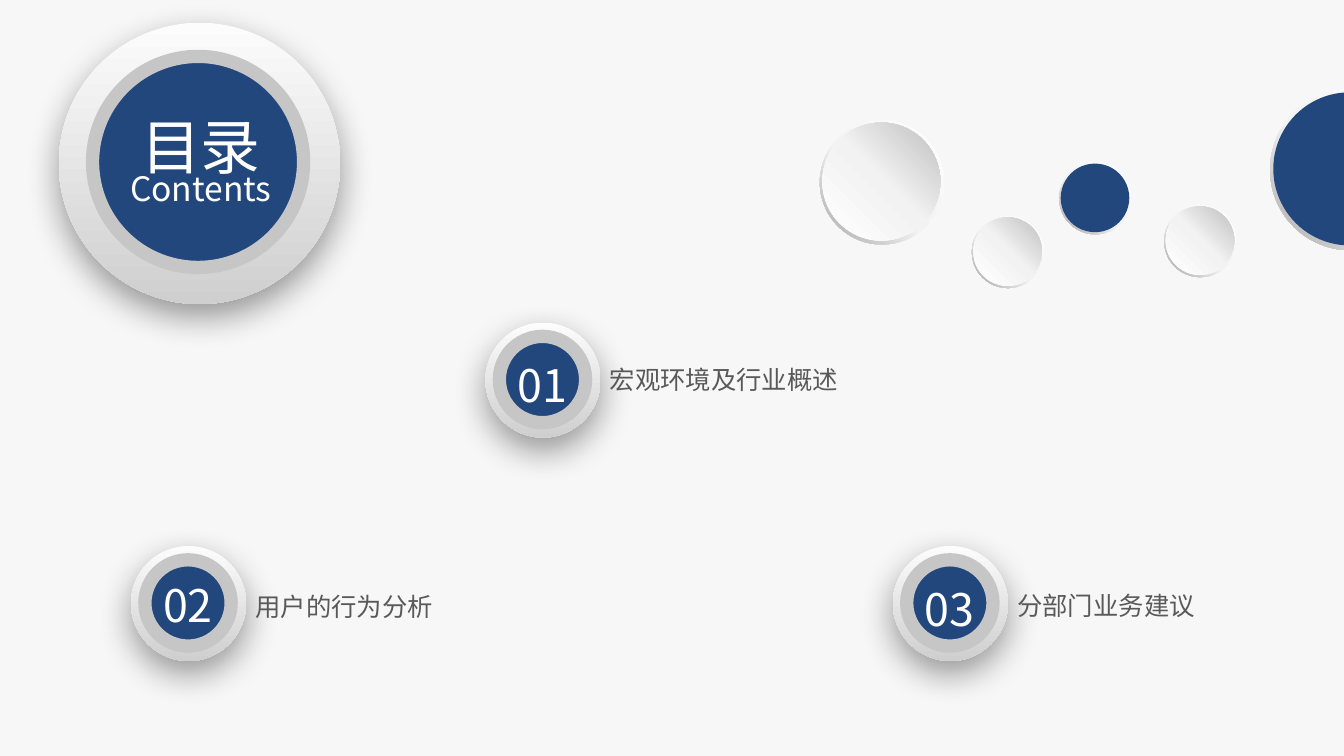
import pptx
import pptx.util
import pptx.dml.color
import pptx.enum.shapes
import pptx.enum.text
import pptx.oxml.ns
from lxml import etree

COLS, ROWS = 160, 90
CELL = pptx.util.Inches(1) // 12
FONT = "Noto Sans CJK SC"
NAVY, WHITE, GREY, RIM, PAPER = "22477D", "FFFFFF", "595959", "C6C6C6", "F7F7F7"
DOME = [(0, "FCFCFC"), (100, "CFCFCF")]
EDGE = [(0, "FFFFFF"), (55, "F2F2F2"), (100, "A6A6A6")]
PEARL = [(0, "FFFFFF"), (51, "F2F2F2"), (100, "BFBFBF")]
OVAL = pptx.enum.shapes.MSO_SHAPE.OVAL
DONUT = pptx.enum.shapes.MSO_SHAPE.DONUT
ALIGN = pptx.enum.text.PP_ALIGN
ANCHOR = pptx.enum.text.MSO_ANCHOR
qn = pptx.oxml.ns.qn


def paint(color, hexa):
    """Set a colour from a hex string."""
    color.rgb = pptx.dml.color.RGBColor.from_string(hexa)


def part(box, x, y, w, h):
    """Return the part of a square box given by shares of its side."""
    left, top, side = box
    return left + x * side, top + y * side, w * side, h * side


def cells(*area):
    """Turn grid cells into lengths."""
    return [round(v * CELL) for v in area]


def grade(shape, stops, angle):
    """Fill a shape with a gradient, angle clockwise."""
    shape.fill.gradient()
    shape.fill.gradient_angle = (360 - angle) % 360
    rows = shape.fill._xPr.find(qn("a:gradFill")).find(qn("a:gsLst"))
    for old in list(rows):
        rows.remove(old)
    for pos, hexa in stops:
        stop = etree.SubElement(rows, qn("a:gs"), pos=str(pos * 1000))
        etree.SubElement(stop, qn("a:srgbClr"), val=hexa)


def cast(shape):
    """Give a shape a soft shadow below it."""
    effects = shape._element.spPr.find(qn("a:effectLst"))
    shade = etree.SubElement(
        effects, qn("a:outerShdw"), blurRad=str(pptx.util.Pt(25)),
        dist=str(pptx.util.Pt(9)), dir="5400000", algn="t", rotWithShape="0")
    color = etree.SubElement(shade, qn("a:srgbClr"), val="000000")
    etree.SubElement(color, qn("a:alpha"), val="40000")


def disc(shapes, area, fill, angle=0, kind=OVAL):
    """Add a round shape with a plain or graded fill."""
    shape = shapes.add_shape(kind, *cells(*area))
    shape.shadow.inherit = False
    shape.line.fill.background()
    if isinstance(fill, str):
        shape.fill.solid()
        paint(shape.fill.fore_color, fill)
    else:
        grade(shape, fill, angle)
    return shape


def write(shape, text, size, hexa, align=ALIGN.CENTER, anchor=ANCHOR.MIDDLE,
          wrap=True, inset=None):
    """Put one styled line of text in a shape; inset is the left margin."""
    frame = shape.text_frame
    frame.text = text
    frame.auto_size = pptx.enum.text.MSO_AUTO_SIZE.NONE
    frame.word_wrap = wrap
    frame.vertical_anchor = anchor
    if inset is not None:
        frame.margin_left = round(inset * CELL)
        frame.margin_right = frame.margin_top = frame.margin_bottom = 0
    line = frame.paragraphs[0]
    line.alignment = align
    font = line.runs[0].font
    font.size = pptx.util.Pt(size)
    font.name = FONT
    paint(font.color, hexa)
    etree.SubElement(font._element, qn("a:ea"), typeface=FONT)


def badge(shapes, box):
    """Add a raised button with a navy face and return its group."""
    group = shapes.add_group_shape()
    cast(disc(group.shapes, part(box, 0, 0, 1, 1), DOME, 90))
    face = disc(group.shapes, part(box, 0.12, 0.12, 0.75, 0.75), NAVY)
    face.line.width = pptx.util.Pt(9.5)
    paint(face.line.color, RIM)
    return group


def head(slide, box):
    """Add the large badge that holds the slide title."""
    group = badge(slide.shapes, box)
    sub = group.shapes.add_textbox(*cells(*part(box, 0.15, 0.46, 0.71, 0.2)))
    write(sub, "Contents", 24, WHITE, anchor=ANCHOR.BOTTOM, inset=0)
    title = slide.shapes.title
    title.left, title.top, title.width, title.height = cells(
        *part(box, 0.15, 0.29, 0.71, 0.36))
    write(title, "目录", 42.7, WHITE, anchor=ANCHOR.TOP)
    slide.shapes._spTree.append(title._element)


def entry(slide, box, num, label, rise, drop):
    """Add a numbered badge and its label, at shares rise and drop."""
    shapes = badge(slide.shapes, box).shapes
    mark = shapes.add_textbox(*cells(*part(box, 0.16, rise, 0.67, 0.68)))
    write(mark, num, 32, WHITE, wrap=False)
    note = shapes.add_textbox(*cells(*part(box, 0.62, drop, 3.8, 0.24)))
    write(note, label, 18.1, GREY, ALIGN.LEFT, ANCHOR.BOTTOM, False,
          0.46 * box[2])


def bead(slide, box, fill):
    """Add a decorative disc with a thin graded rim."""
    shapes = slide.shapes.add_group_shape().shapes
    rim = disc(shapes, part(box, 0, 0, 1, 1), EDGE, 135, DONUT)
    rim.adjustments[0] = 0.05
    disc(shapes, part(box, 0.02, 0.02, 0.95, 0.95), fill, 315)


def build():
    """Build the contents slide."""
    deck = pptx.Presentation()
    deck.slide_width, deck.slide_height = COLS * CELL, ROWS * CELL
    slide = deck.slides.add_slide(deck.slide_layouts.get_by_name("Title Only"))
    slide.background.fill.solid()
    paint(slide.background.fill.fore_color, PAPER)
    head(slide, (7, 2.7, 33.5))
    for left, top, num, label, rise, drop in (
            (57.8, 38.4, "01", "宏观环境及行业概述", 0.2, 0.39),
            (106.3, 65, "03", "分部门业务建议", 0.2, 0.41),
            (15.6, 65, "02", "用户的行为分析", 0.17, 0.42)):
        entry(slide, (left, top, 13.7), num, label, rise, drop)
    for left, top, side, fill in (
            (97.6, 14.3, 14.8, PEARL), (115.7, 25.7, 8.6, PEARL),
            (126.1, 19.3, 8.6, NAVY), (138.6, 24.4, 8.6, PEARL),
            (151.2, 10.6, 19.2, NAVY)):
        bead(slide, (left, top, side), fill)
    deck.save("out.pptx")


build()
